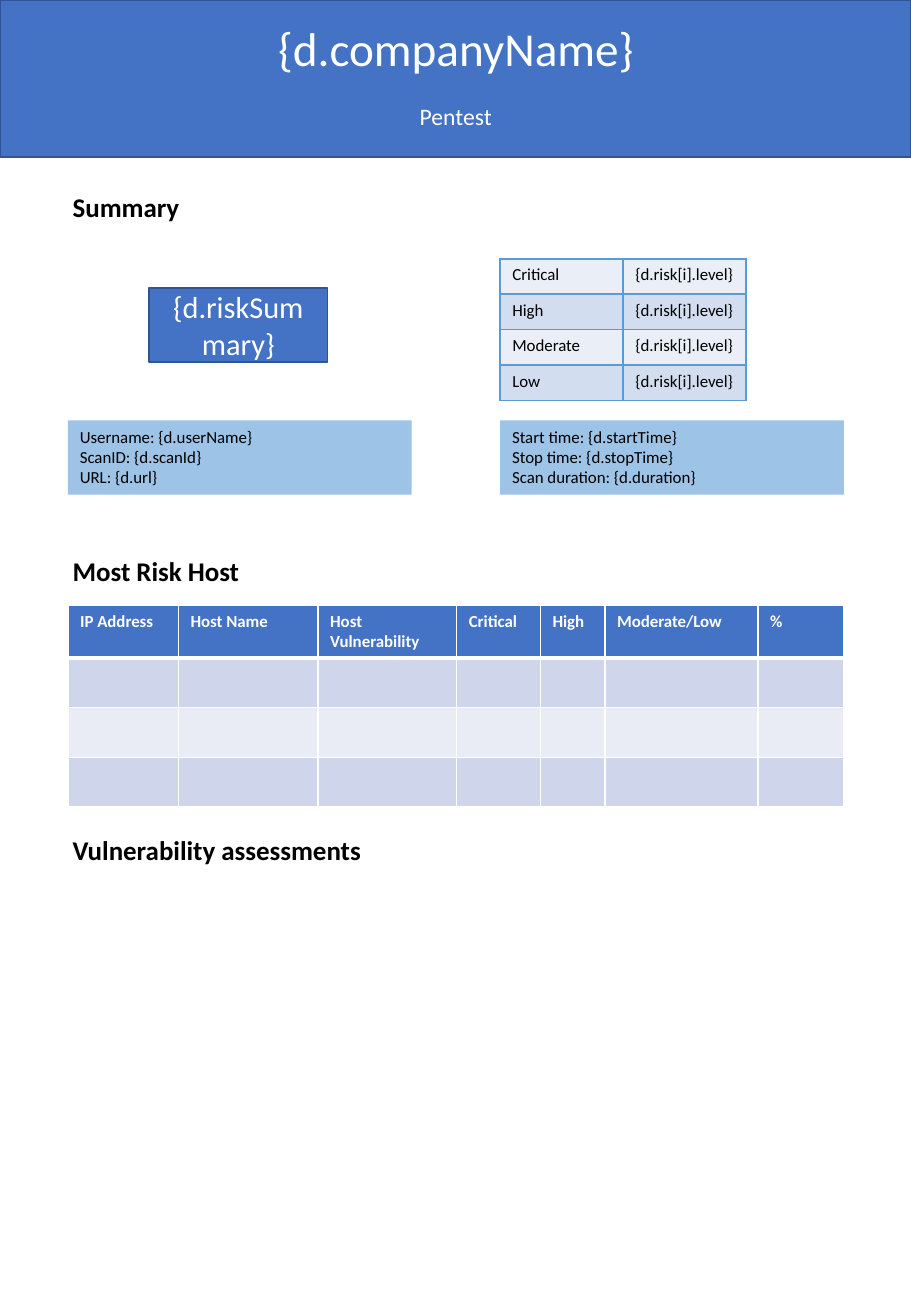
from lxml import etree
from pptx import Presentation
from pptx.dml.color import RGBColor
from pptx.enum.shapes import MSO_SHAPE
from pptx.enum.text import MSO_ANCHOR, PP_ALIGN
from pptx.oxml.ns import qn
from pptx.util import Cm, Pt

RECTANGLE = MSO_SHAPE.RECTANGLE
LEFT, CENTER = PP_ALIGN.LEFT, PP_ALIGN.CENTER
TOP, MIDDLE = MSO_ANCHOR.TOP, MSO_ANCHOR.MIDDLE

FONT = "Calibri"
COLORS = {
    "blue": "4472C4",
    "outline": "325491",
    "panel": "9DC3E6",
    "white": "FFFFFF",
    "black": "000000",
    "host_dark": "CFD5EA",
    "host_light": "E9EBF5",
    "risk_border": "5B9BD5",
    "risk_light": "EAEFF7",
    "risk_dark": "D2DEEF",
}
LEFT_EDGE, RIGHT_COLUMN = 1.42, 10.46
HOST_COLUMNS = {
    "IP Address": 2.31,
    "Host Name": 2.92,
    "Host Vulnerability": 2.9,
    "Critical": 1.75,
    "High": 1.35,
    "Moderate/Low": 3.2,
    "%": 1.8,
}
HOST_ROWS = 3
RISK_LEVELS = ["Critical", "High", "Moderate", "Low"]


def rgb(color):
    """Return the named colour."""
    return RGBColor.from_string(COLORS[color])


def write(frame, text, size, color="black", bold=False, align=LEFT):
    """Fill a text frame and format all its runs."""
    frame.text = text
    for paragraph in frame.paragraphs:
        paragraph.alignment = align
        for run in paragraph.runs:
            run.font.name = FONT
            run.font.size = Pt(size)
            run.font.bold = bold
            run.font.color.rgb = rgb(color)


def add_label(slide, box, text, size, color="black", bold=False, align=LEFT):
    """Add a wrapping text box."""
    frame = slide.shapes.add_textbox(*map(Cm, box)).text_frame
    frame.word_wrap = True
    write(frame, text, size, color, bold, align)


def add_heading(slide, top, text):
    """Add a section heading."""
    add_label(slide, (1.27, top, 7.65, 0.94), text, 16, bold=True)


def add_block(slide, box, fill, outline=None, anchor=TOP):
    """Add a filled rectangle and return its text frame."""
    block = slide.shapes.add_shape(RECTANGLE, *map(Cm, box))
    block.shadow.inherit = False
    block.fill.solid()
    block.fill.fore_color.rgb = rgb(fill)
    if outline:
        block.line.color.rgb = rgb(outline)
        block.line.width = Pt(1)
    else:
        block.line.fill.background()
    block.text_frame.word_wrap = True
    block.text_frame.vertical_anchor = anchor
    return block.text_frame


def add_panel(slide, left, lines):
    """Add a light panel with scan details."""
    frame = add_block(slide, (left, 8.79, 7.19, 1.55), "panel")
    write(frame, "\n".join(lines), 10)


def set_borders(cell, color, top=1, bottom=1):
    """Draw the four borders of a table cell."""
    properties = cell._tc.get_or_add_tcPr()
    for side, width in (("L", 1), ("R", 1), ("T", top), ("B", bottom)):
        border = etree.SubElement(properties, qn(f"a:ln{side}"), w=str(Pt(width)))
        fill = etree.SubElement(border, qn("a:solidFill"))
        etree.SubElement(fill, qn("a:srgbClr"), val=COLORS[color])


def add_grid(slide, left, top, widths, row_height, rows, fills, border, header=False):
    """Add a table with one fill per row and an optional header row."""
    size = (sum(widths), row_height * len(rows))
    table = slide.shapes.add_table(
        len(rows), len(widths), *map(Cm, (left, top, *size))
    ).table
    table.first_row = header
    table.horz_banding = False
    for column, width in zip(table.columns, widths):
        column.width = Cm(width)
    for index, (row, texts, fill) in enumerate(zip(table.rows, rows, fills)):
        row.height = Cm(row_height)
        is_header = header and index == 0
        below_header = header and index == 1
        for cell, text in zip(row.cells, texts):
            set_borders(cell, border, 3 if below_header else 1, 3 if is_header else 1)
            cell.fill.solid()
            cell.fill.fore_color.rgb = rgb(fill)
            if text:
                write(cell.text_frame, text, 10, "white" if is_header else "black", is_header)


def main():
    """Build the pentest report page."""
    report = Presentation()
    report.slide_width, report.slide_height = Cm(19.05), Cm(27.51)
    slide = report.slides.add_slide(report.slide_layouts[6])

    add_block(slide, (0, 0, 19.05, 3.28), "blue", "outline")
    add_label(slide, (5.16, 0.28, 8.74, 1.45), "{d.companyName}", 28, "white", align=CENTER)
    add_label(slide, (5.82, 2.01, 7.42, 0.86), "Pentest", 14, "white", align=CENTER)

    add_heading(slide, 3.86, "Summary")
    risk_summary = add_block(slide, (3.12, 6.02, 3.73, 1.55), "blue", "outline", MIDDLE)
    write(risk_summary, "{d.riskSummary}", 18, "white", align=CENTER)
    risk_rows = [(level, "{d.risk[i].level}") for level in RISK_LEVELS]
    add_grid(slide, RIGHT_COLUMN, 5.41, [2.57, 2.57], 0.74, risk_rows,
             ["risk_light", "risk_dark"] * 2, "risk_border")
    add_panel(slide, LEFT_EDGE,
              ["Username: {d.userName}", "ScanID: {d.scanId}", "URL: {d.url}"])
    add_panel(slide, RIGHT_COLUMN,
              ["Start time: {d.startTime}", "Stop time: {d.stopTime}",
               "Scan duration: {d.duration}"])

    add_heading(slide, 11.46, "Most Risk Host")
    host_rows = [list(HOST_COLUMNS)] + [[""] * len(HOST_COLUMNS)] * HOST_ROWS
    add_grid(slide, LEFT_EDGE, 12.65, list(HOST_COLUMNS.values()), 1.04, host_rows,
             ["blue", "host_dark", "host_light", "host_dark"], "white", header=True)

    add_heading(slide, 17.3, "Vulnerability assessments")
    report.save("out.pptx")


if __name__ == "__main__":
    main()
